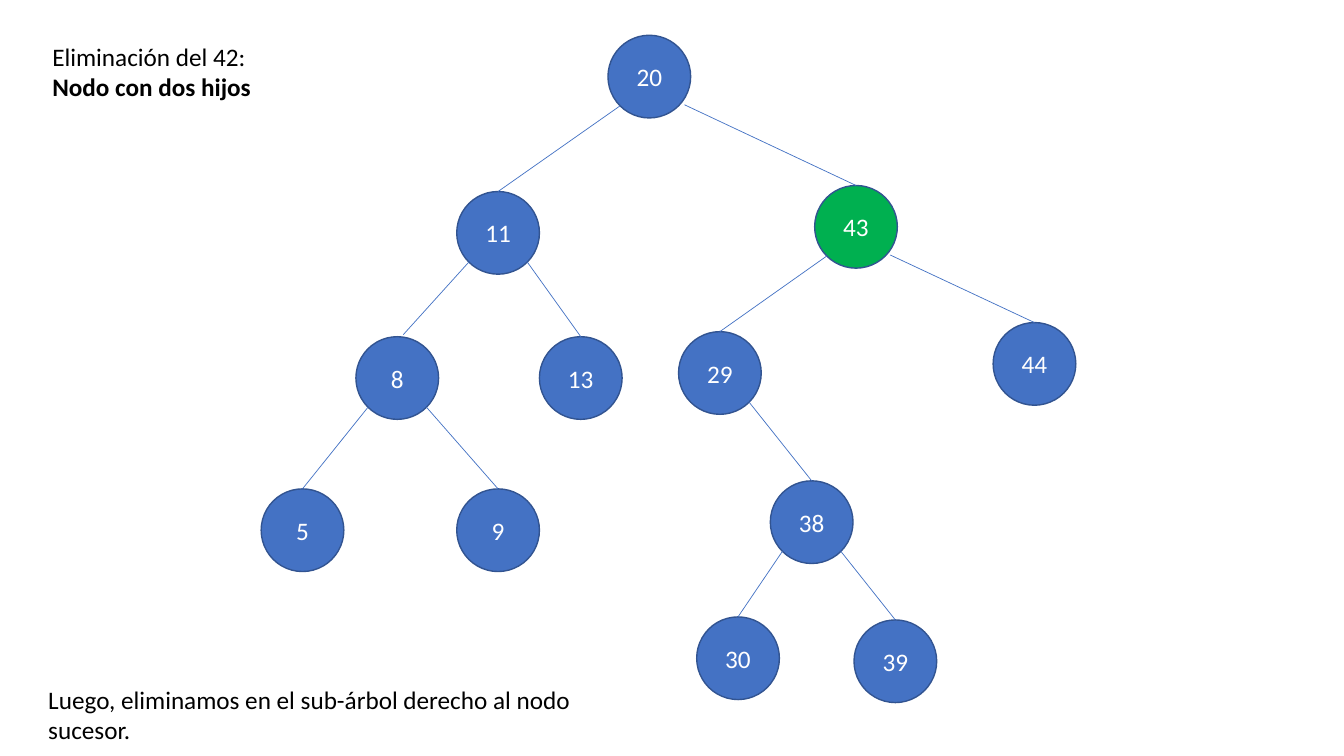
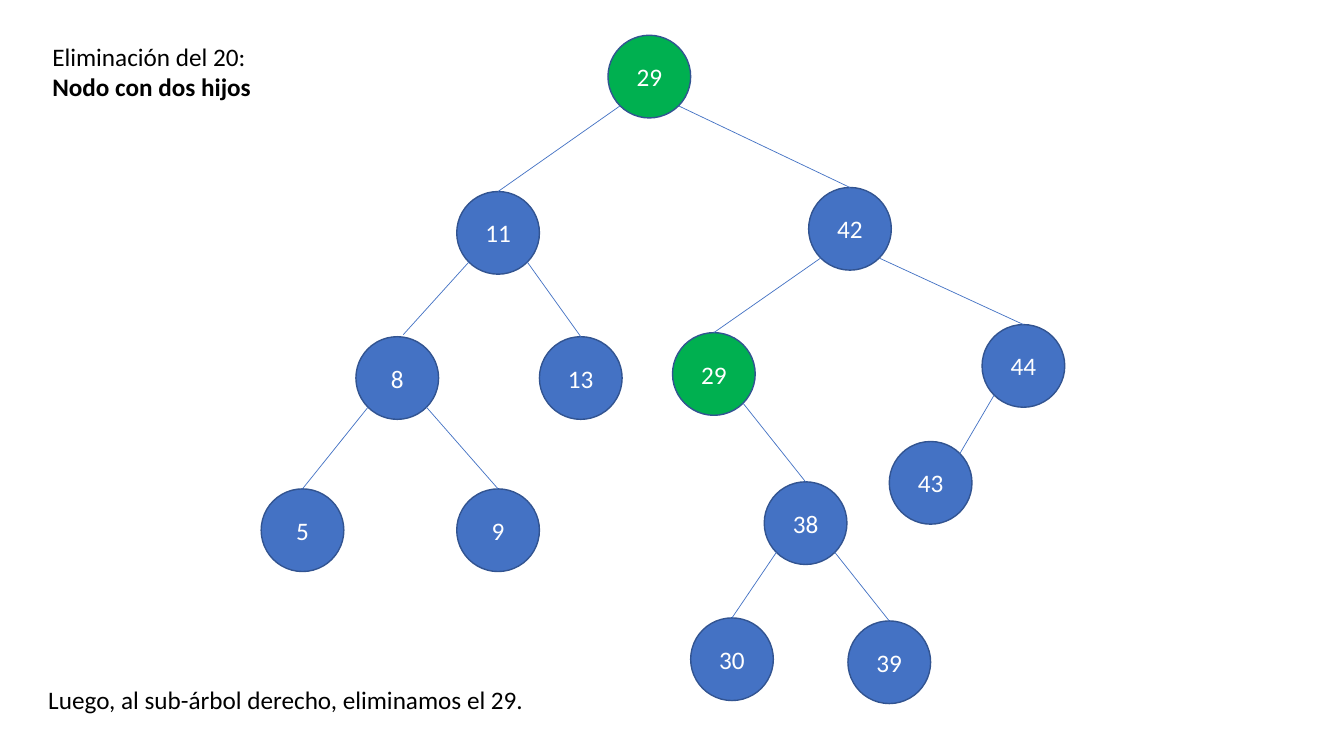
from dataclasses import dataclass

from lxml import etree
from pptx import Presentation
from pptx.dml.color import RGBColor
from pptx.enum.shapes import MSO_CONNECTOR, MSO_SHAPE
from pptx.enum.text import MSO_ANCHOR, MSO_AUTO_SIZE, PP_ALIGN
from pptx.oxml.ns import qn
from pptx.util import Pt

PX = 9144
DIAMETER = 82
RADIUS = DIAMETER // 2
NEAR, FAR = 12, 70
ELLIPSE = MSO_SHAPE.OVAL
STRAIGHT = MSO_CONNECTOR.STRAIGHT
MIDDLE = MSO_ANCHOR.MIDDLE
CENTER = PP_ALIGN.CENTER
GROW = MSO_AUTO_SIZE.SHAPE_TO_FIT_TEXT
COLORS = {
    "node": "4472C4",
    "marked": "00B050",
    "outline": "325491",
    "edge": "4472C4",
    "label": "FFFFFF",
    "text": "000000",
}


@dataclass
class Node:
    label: str
    left: int
    top: int
    parent: "Node" = None
    color: str = "node"
    leave: tuple = (0, 0)
    reach: tuple = (0, 0)


class TreeDeck:
    font_name = "Calibri"
    font_size = Pt(18)

    def __init__(self):
        self.deck = Presentation()
        self.deck.slide_width = 1333 * PX
        self.deck.slide_height = 750 * PX
        self.page = None

    def color(self, name):
        return RGBColor.from_string(COLORS[name])

    def new_page(self):
        self.page = self.deck.slides.add_slide(self.deck.slide_layouts[6])

    def fill_para(self, para, text, color, bold=False):
        para.text = text
        para.font.name = self.font_name
        para.font.size = self.font_size
        para.font.bold = bold
        para.font.color.rgb = self.color(color)

    def text(self, left, top, width, height, lines):
        box = self.page.shapes.add_textbox(left * PX, top * PX, width * PX, height * PX)
        frame = box.text_frame
        frame.word_wrap = True
        frame.auto_size = GROW
        for index, (line, bold) in enumerate(lines):
            para = frame.add_paragraph() if index else frame.paragraphs[0]
            self.fill_para(para, line, "text", bold)

    def node(self, node):
        circle = self.page.shapes.add_shape(
            ELLIPSE, node.left * PX, node.top * PX, DIAMETER * PX, DIAMETER * PX
        )
        circle.shadow.inherit = False
        circle.fill.solid()
        circle.fill.fore_color.rgb = self.color(node.color)
        circle.line.color.rgb = self.color("outline")
        circle.line.width = Pt(1)
        circle.text_frame.vertical_anchor = MIDDLE
        para = circle.text_frame.paragraphs[0]
        para.alignment = CENTER
        self.fill_para(para, node.label, "label")

    def edge(self, child):
        parent = child.parent
        side = NEAR if child.left < parent.left else FAR
        start_x = parent.left + side + child.leave[0]
        start_y = parent.top + FAR + child.leave[1]
        end_x = child.left + RADIUS + child.reach[0]
        end_y = child.top + child.reach[1]
        line = self.page.shapes.add_connector(
            STRAIGHT, start_x * PX, start_y * PX, end_x * PX, end_y * PX
        )
        line.line.color.rgb = self.color("edge")
        line.line.width = Pt(0.5)
        etree.SubElement(line._element.spPr, qn("a:effectLst"))

    def tree(self, nodes):
        for node in nodes:
            self.node(node)
        for node in nodes:
            if node.parent:
                self.edge(node)

    def deletion_page(self, key, nodes, caption, caption_height):
        self.new_page()
        self.tree(nodes)
        title = [(f"Eliminación del {key}:", False), ("Nodo con dos hijos", True)]
        self.text(42, 36, 358, 71, title)
        self.text(38, 674, 552, caption_height, [(caption, False)])

    def save(self):
        self.deck.save("out.pptx")


def left_branch(root):
    eleven = Node("11", 453, 190, root)
    eight = Node("8", 353, 334, eleven, reach=(6, -2))
    return [
        eleven,
        eight,
        Node("13", 535, 334, eleven),
        Node("5", 259, 485, eight),
        Node("9", 453, 485, eight),
    ]


def middle_branch(parent, left, top, color="node"):
    twenty_nine = Node("29", left, top, parent, color)
    thirty_eight = Node("38", left + 91, top + 148, twenty_nine)
    return [
        twenty_nine,
        thirty_eight,
        Node("30", left + 18, top + 283, thirty_eight),
        Node("39", left + 174, top + 286, thirty_eight),
    ]


def tree_without_42():
    root = Node("20", 603, 35)
    successor = Node("43", 808, 184, root, "marked", leave=(6, -1))
    last = Node("44", 985, 320, successor, leave=(5, -1))
    return [root, *left_branch(root), successor, *middle_branch(successor, 673, 329), last]


def tree_without_20():
    root = Node("29", 603, 35, color="marked")
    right = Node("42", 802, 186, root)
    last = Node("44", 974, 322, right)
    inner = Node("43", 882, 438, last, reach=(FAR - RADIUS, NEAR))
    middle = middle_branch(right, 667, 330, "marked")
    return [root, *left_branch(root), right, *middle, last, inner]


def main():
    deck = TreeDeck()
    deck.deletion_page(
        42,
        tree_without_42(),
        "Luego, eliminamos en el sub-árbol derecho al nodo sucesor.",
        71,
    )
    deck.deletion_page(
        20,
        tree_without_20(),
        "Luego, al sub-árbol derecho, eliminamos el 29.",
        40,
    )
    deck.save()


if __name__ == "__main__":
    main()
